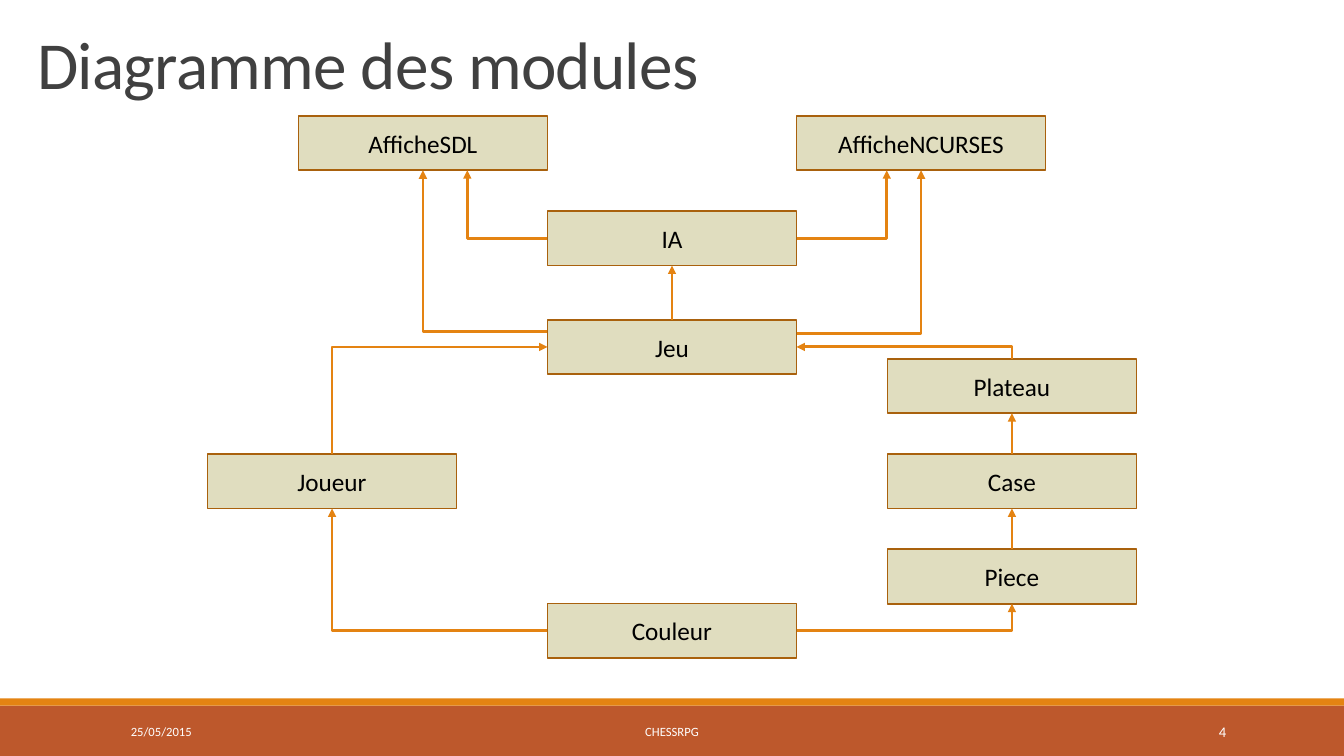
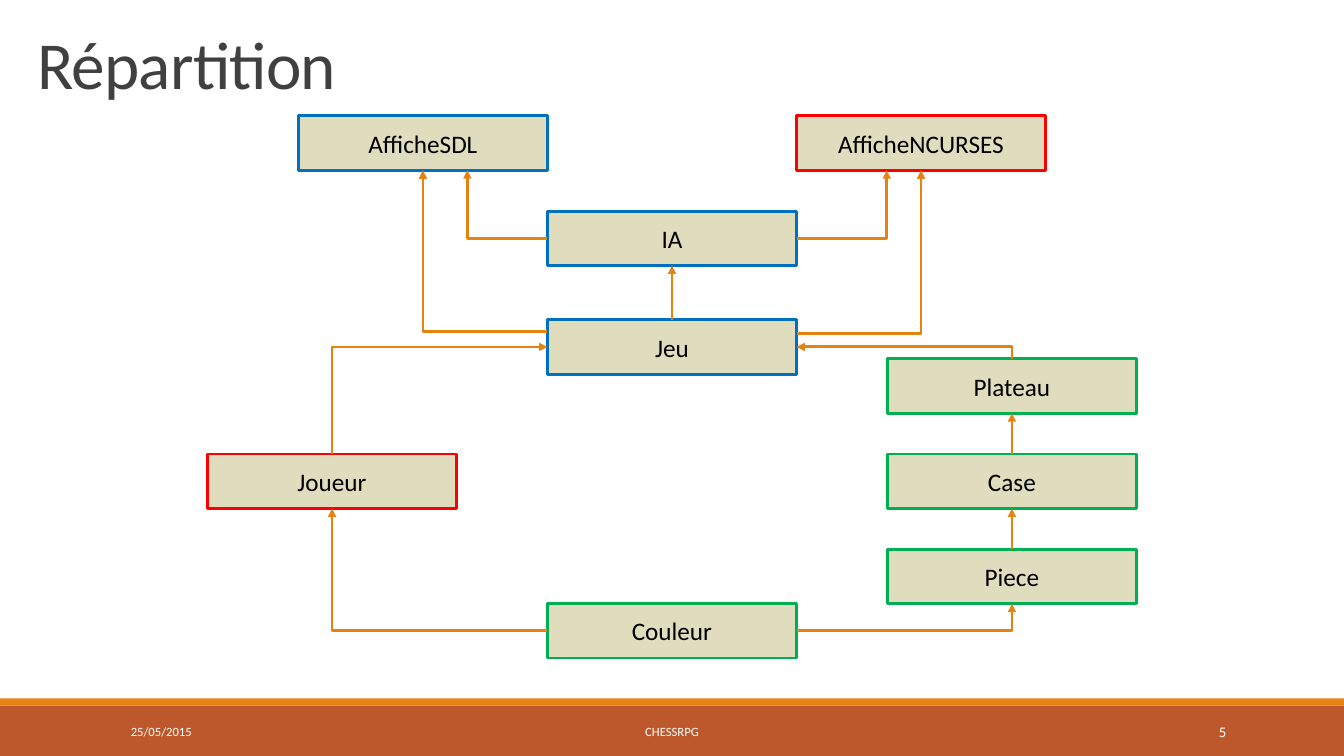
import dataclasses
import enum
import typing

import lxml.etree
import pptx
import pptx.dml.color
import pptx.enum.shapes
import pptx.enum.text
import pptx.oxml.ns
import pptx.util

Align = pptx.enum.text.PP_ALIGN
Anchor = pptx.enum.text.MSO_ANCHOR
Preset = pptx.enum.shapes.MSO_SHAPE
Connector = pptx.enum.shapes.MSO_CONNECTOR
qn = pptx.oxml.ns.qn


@dataclasses.dataclass(frozen=True)
class Theme:
    font: str = "Calibri"
    rust: str = "BD582C"
    orange: str = "E48312"
    brown: str = "A9610D"
    olive: str = "C2BC80"
    charcoal: str = "404040"
    black: str = "000000"
    white: str = "FFFFFF"
    blue: str = "0070C0"
    red: str = "FF0000"
    green: str = "00B050"
    title_size: float = 48
    box_size: float = 18
    footer_size: float = 9
    number_size: float = 10.5
    thin_line: float = 1
    box_line: float = 1.25
    thick_line: float = 2


THEME = Theme()
WIDTH, HEIGHT = 13.33, 7.5
BOX_WIDTH, BOX_HEIGHT = 2.47, 0.54
FIRST_ROW, ROW_STEP = 1.15, 0.945
OUTER = 1.365


class Side(enum.IntEnum):
    TOP = 0
    LEFT = 1
    BOTTOM = 2
    RIGHT = 3


class Route(enum.Enum):
    STRAIGHT = "line"
    ACROSS_FIRST = "across"
    UPRIGHT_FIRST = "upright"


class Area(typing.NamedTuple):
    left: float
    top: float
    width: float
    height: float

    def emu(self) -> list[int]:
        return [pptx.util.Inches(length) for length in self]


@dataclasses.dataclass(frozen=True)
class Block:
    name: str
    column: float
    row: float
    owner_color: str

    def area(self) -> Area:
        center = WIDTH / 2 + self.column * BOX_WIDTH
        return Area(center - BOX_WIDTH / 2, FIRST_ROW + self.row * ROW_STEP, BOX_WIDTH, BOX_HEIGHT)


class Port(typing.NamedTuple):
    block: str
    side: Side
    shift: float = 0


class Link(typing.NamedTuple):
    start: Port
    end: Port
    route: Route
    weight: float = THEME.thick_line


class FooterItem(typing.NamedTuple):
    area: Area
    text: str
    align: Align
    size: float


BLOCKS = {
    block.name: block
    for block in (
        Block("AfficheSDL", -1, 0, THEME.blue),
        Block("AfficheNCURSES", 1, 0, THEME.red),
        Block("IA", 0, 1, THEME.blue),
        Block("Jeu", 0, 2.14, THEME.blue),
        Block("Plateau", OUTER, 2.55, THEME.green),
        Block("Joueur", -OUTER, 3.55, THEME.red),
        Block("Case", OUTER, 3.55, THEME.green),
        Block("Piece", OUTER, 4.55, THEME.green),
        Block("Couleur", 0, 5.12, THEME.green),
    )
}

LINKS = (
    Link(Port("Couleur", Side.LEFT), Port("Joueur", Side.BOTTOM), Route.ACROSS_FIRST),
    Link(Port("Couleur", Side.RIGHT), Port("Piece", Side.BOTTOM), Route.ACROSS_FIRST),
    Link(Port("Piece", Side.TOP), Port("Case", Side.BOTTOM), Route.STRAIGHT),
    Link(Port("Case", Side.TOP), Port("Plateau", Side.BOTTOM), Route.STRAIGHT),
    Link(Port("Plateau", Side.TOP), Port("Jeu", Side.RIGHT), Route.UPRIGHT_FIRST),
    Link(Port("Joueur", Side.TOP), Port("Jeu", Side.LEFT), Route.UPRIGHT_FIRST),
    Link(Port("Jeu", Side.TOP), Port("IA", Side.BOTTOM), Route.STRAIGHT, THEME.thin_line),
    Link(Port("IA", Side.RIGHT), Port("AfficheNCURSES", Side.BOTTOM, -0.34), Route.ACROSS_FIRST),
    Link(Port("IA", Side.LEFT), Port("AfficheSDL", Side.BOTTOM, 0.44), Route.ACROSS_FIRST),
    Link(Port("Jeu", Side.RIGHT, -0.13), Port("AfficheNCURSES", Side.BOTTOM), Route.ACROSS_FIRST),
    Link(Port("Jeu", Side.LEFT, -0.15), Port("AfficheSDL", Side.BOTTOM), Route.ACROSS_FIRST),
)


def rgb(color: str) -> pptx.dml.color.RGBColor:
    return pptx.dml.color.RGBColor.from_string(color)


def write(shape, text: str, size: float, color: str, align: Align, anchor: Anchor = Anchor.MIDDLE):
    frame = shape.text_frame
    frame.text = text
    frame.word_wrap = True
    frame.vertical_anchor = anchor
    para = frame.paragraphs[0]
    para.alignment = align
    span = para.runs[0]
    span.font.name = THEME.font
    span.font.size = pptx.util.Pt(size)
    span.font.color.rgb = rgb(color)
    return para


def add_rectangle(page, area: Area, color: str):
    shape = page.shapes.add_shape(Preset.RECTANGLE, *area.emu())
    shape.shadow.inherit = False
    shape.fill.solid()
    shape.fill.fore_color.rgb = rgb(color)
    shape.line.fill.background()
    return shape


def add_frame(page, title: str, number: int) -> None:
    add_rectangle(page, Area(0, 7, WIDTH, 0.5), THEME.rust)
    add_rectangle(page, Area(0, 6.93, WIDTH, 0.07), THEME.orange)
    footer = (
        FooterItem(Area(1.2, 7.06, 2.7, 0.4), "25/05/2015", Align.LEFT, THEME.footer_size),
        FooterItem(Area(4.03, 7.06, 5.27, 0.4), "CHESSRPG", Align.CENTER, THEME.footer_size),
        FooterItem(Area(10.83, 7.06, 1.43, 0.4), str(number), Align.RIGHT, THEME.number_size),
    )
    for item in footer:
        box = page.shapes.add_textbox(*item.area.emu())
        write(box, item.text, item.size, THEME.white, item.align)
    heading = page.shapes.add_textbox(*Area(0.27, 0.22, 11, 0.85).emu())
    para = write(heading, title, THEME.title_size, THEME.charcoal, Align.LEFT, Anchor.BOTTOM)
    para.line_spacing = 0.85
    para.runs[0].font._element.set("spc", "-50")


def add_block(page, block: Block, line_color: str, line_width: float):
    box = add_rectangle(page, block.area(), THEME.olive)
    fill_color = box._element.spPr.find(qn("a:solidFill"))[0]
    lxml.etree.SubElement(fill_color, qn("a:alpha")).set("val", "50000")
    box.line.color.rgb = rgb(line_color)
    box.line.width = pptx.util.Pt(line_width)
    write(box, block.name, THEME.box_size, THEME.black, Align.CENTER)
    return box


def locate(port: Port) -> tuple[int, int]:
    left, top, width, height = BLOCKS[port.block].area()
    if port.side in (Side.TOP, Side.BOTTOM):
        x = left + width / 2 + port.shift
        y = top + height * (port.side == Side.BOTTOM)
    else:
        x = left + width * (port.side == Side.RIGHT)
        y = top + height / 2 + port.shift
    return pptx.util.Inches(x), pptx.util.Inches(y)


def turn_upright(connector, start: tuple[int, int], end: tuple[int, int]) -> None:
    across, down = end[0] - start[0], end[1] - start[1]
    connector.width, connector.height = abs(down), abs(across)
    connector.left = (start[0] + end[0] - abs(down)) // 2
    connector.top = (start[1] + end[1] - abs(across)) // 2
    transform = connector._element.spPr.find(qn("a:xfrm"))
    transform.set("rot", str((90 if down > 0 else 270) * 60000))
    transform.set("flipH", "0")
    transform.set("flipV", "1" if (across > 0) == (down > 0) else "0")


def add_link(page, link: Link, boxes: dict) -> None:
    start, end = locate(link.start), locate(link.end)
    straight = link.route == Route.STRAIGHT
    kind = Connector.STRAIGHT if straight else Connector.ELBOW
    connector = page.shapes.add_connector(kind, *start, *end)
    if not link.start.shift:
        connector.begin_connect(boxes[link.start.block], int(link.start.side))
    if not link.end.shift:
        connector.end_connect(boxes[link.end.block], int(link.end.side))
    properties = connector._element.spPr
    if not straight:
        properties.find(qn("a:prstGeom")).set("prst", "bentConnector2")
    if link.route == Route.UPRIGHT_FIRST:
        turn_upright(connector, start, end)
    connector.line.color.rgb = rgb(THEME.orange)
    connector.line.width = pptx.util.Pt(link.weight)
    arrow = lxml.etree.SubElement(properties.find(qn("a:ln")), qn("a:tailEnd"))
    arrow.set("type", "triangle")
    lxml.etree.SubElement(properties, qn("a:effectLst"))


def add_diagram(deck, title: str, number: int, by_owner: bool) -> None:
    page = deck.slides.add_slide(deck.slide_layouts[6])
    add_frame(page, title, number)
    line_width = THEME.thick_line if by_owner else THEME.box_line
    boxes = {
        name: add_block(page, block, block.owner_color if by_owner else THEME.brown, line_width)
        for name, block in BLOCKS.items()
    }
    for link in LINKS:
        add_link(page, link, boxes)


def main() -> None:
    deck = pptx.Presentation()
    deck.slide_width = pptx.util.Inches(WIDTH)
    deck.slide_height = pptx.util.Inches(HEIGHT)
    add_diagram(deck, "Diagramme des modules", 4, by_owner=False)
    add_diagram(deck, "Répartition", 5, by_owner=True)
    deck.save("out.pptx")


if __name__ == "__main__":
    main()
